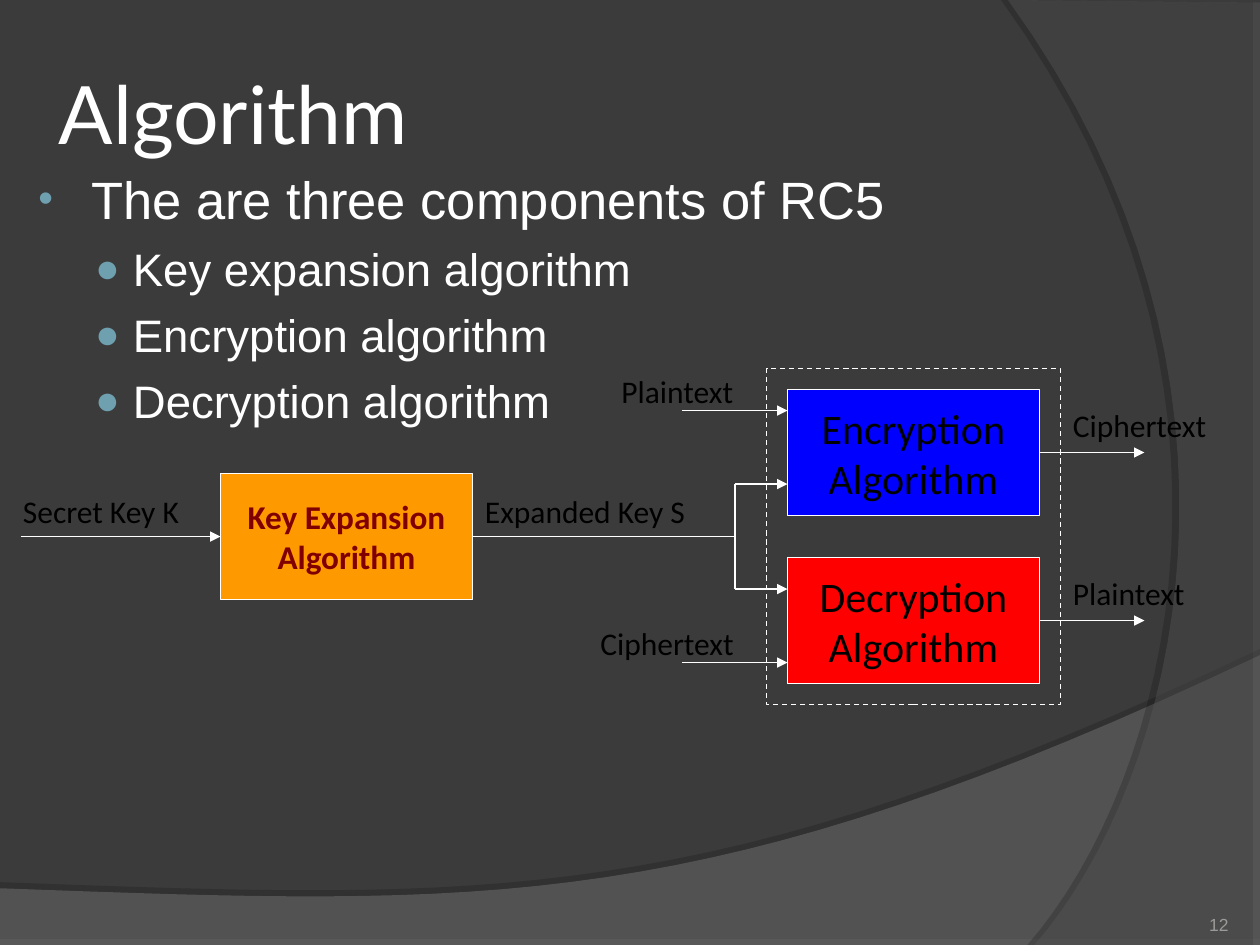
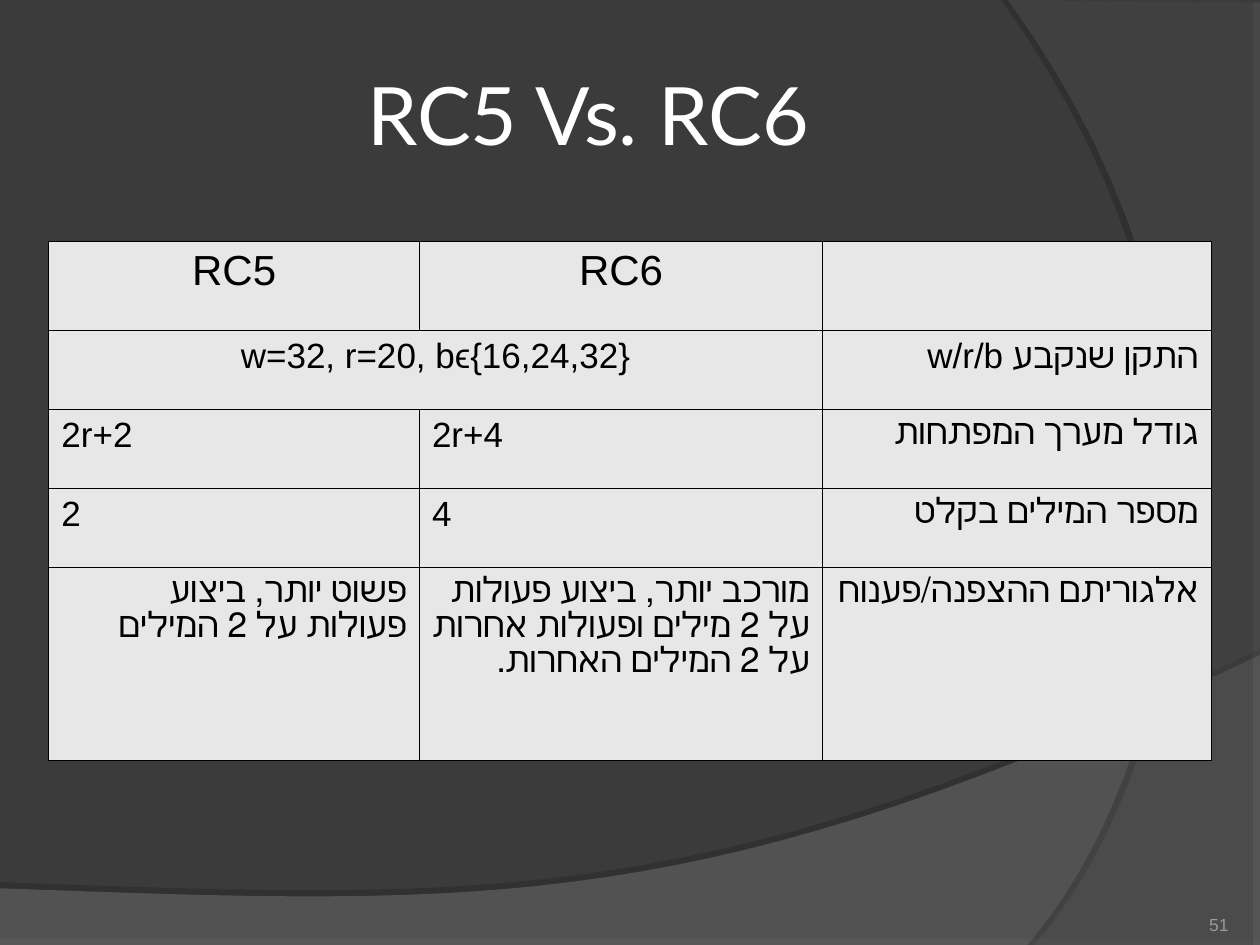
import dataclasses
import pptx
import pptx.dml.color
import pptx.enum.dml
import pptx.enum.shapes
import pptx.enum.text
import pptx.oxml.ns
import pptx.util
from lxml import etree

qn = pptx.oxml.ns.qn
ALIGN = pptx.enum.text.PP_ALIGN
ANCHOR = pptx.enum.text.MSO_ANCHOR
SHAPE = pptx.enum.shapes.MSO_SHAPE
CELL = pptx.util.Inches(1) // 12


@dataclasses.dataclass(frozen=True)
class Theme:
    back: str = "3B3B3B"
    wave: str = "7C7C7C"
    arc: str = "595959"
    light: str = "FFFFFF"
    dark: str = "000000"
    bullet: str = "6EA0B0"
    muted: str = "9B9A98"
    key: str = "FF9900"
    key_text: str = "800000"
    encrypt: str = "0000FF"
    decrypt: str = "FF0000"
    cell: str = "E7E7E7"
    title_font: str = "Lato"
    body_font: str = "Arial"
    diagram_font: str = "Calibri"
    title: int = 46
    body: int = 30
    sub: int = 26
    box: int = 24
    key_size: int = 19
    label: int = 18
    head: int = 24
    row: int = 20
    number: int = 10
    line: float = 0.75
    border: float = 0.45


T = Theme()


@dataclasses.dataclass(frozen=True)
class Box:
    x: float
    y: float
    w: float
    h: float

    def sub(self, x, y, w, h):
        return Box(self.x + x, self.y + y, w, h)

    def point(self, x, y):
        return round((self.x + x) * CELL), round((self.y + y) * CELL)

    def place(self):
        return [round(v * CELL) for v in (self.x, self.y, self.w, self.h)]


SLIDE = Box(0, 0, 120, 90)


def rgb(color):
    return pptx.dml.color.RGBColor.from_string(color)


def add_xml(parent, tag, **attrs):
    return etree.SubElement(parent, qn(tag), {k: str(v) for k, v in attrs.items()})


def write(p, text, size, font=T.body_font, color=T.light, bold=False,
          align=ALIGN.LEFT, rtl=False):
    p.alignment = align
    if rtl:
        p._p.get_or_add_pPr().set("rtl", "1")
    r = p.add_run()
    r.text = text
    r.font.size = pptx.util.Pt(size)
    r.font.name = font
    r.font.bold = bold
    r.font.color.rgb = rgb(color)


def frame(shape, anchor=ANCHOR.TOP, inset=(0.1, 0.05), wrap=True):
    tf = shape.text_frame
    tf.word_wrap = wrap
    tf.vertical_anchor = anchor
    tf.margin_left = tf.margin_right = pptx.util.Inches(inset[0])
    tf.margin_top = tf.margin_bottom = pptx.util.Inches(inset[1])
    return tf


def text_box(s, box, text, size, anchor=ANCHOR.TOP, inset=(0.1, 0.05), **fmt):
    tf = frame(s.shapes.add_textbox(*box.place()), anchor, inset)
    write(tf.paragraphs[0], text, size, **fmt)


def curve(a, b, c, d, steps=32):
    for i in range(1, steps + 1):
        t = i / steps
        u = 1 - t
        yield tuple(u**3 * e + 3 * u * u * t * f + 3 * u * t * t * g + t**3 * h
                    for e, f, g, h in zip(a, b, c, d))


def swoosh(s, corners, bend, color, alpha, shade, dist, angle):
    pts = [(round(x / 100 * SLIDE.w * CELL), round(y / 100 * SLIDE.h * CELL))
           for x, y in [*corners, *curve(corners[-1], *bend)]]
    fb = s.shapes.build_freeform(*pts[0], scale=1.0)
    fb.add_line_segments(pts[1:], close=True)
    sp = fb.convert_to_shape()
    sp.fill.solid()
    sp.fill.fore_color.rgb = rgb(color)
    sp.line.fill.background()
    sp.shadow.inherit = False
    spPr = sp.element.spPr
    add_xml(spPr.find(qn("a:solidFill"))[0], "a:alpha", val=alpha * 1000)
    shadow = add_xml(spPr.find(qn("a:effectLst")), "a:outerShdw", blurRad=0,
                     dist=pptx.util.Pt(dist), dir=angle * 60000, algn="ctr", rotWithShape=0)
    shadow_color = add_xml(shadow, "a:srgbClr", val=T.dark)
    add_xml(shadow_color, "a:alpha", val=shade * 1000)


def base_slide(prs, title, title_box, number, align=ALIGN.LEFT):
    s = prs.slides.add_slide(prs.slide_layouts[6])
    s.background.fill.solid()
    s.background.fill.fore_color.rgb = rgb(T.back)
    swoosh(s, [(0, 94), (0, 100), (100, 100), (100, 69.33)],
           [(55.9, 97.2), (39.1, 95.87), (0, 94)], T.wave, 45, 35, 3.5, 270)
    swoosh(s, [(100, 0.27), (100, 100), (82.1, 100)],
           [(93.5, 82.53), (101.8, 40), (80, 0)], T.arc, 40, 45, 4, 180)
    text_box(s, title_box, title, T.title, anchor=ANCHOR.MIDDLE, inset=(0.05, 0.05),
             font=T.title_font, align=align)
    text_box(s, SLIDE.sub(107, 84.25, 10, 4.8), number, T.number, anchor=ANCHOR.BOTTOM,
             inset=(0, 0), color=T.muted, align=ALIGN.RIGHT)
    return s


def bullet_list(s, box, items):
    styles = [(0.46, -0.42, "•", 80, T.body, 7.5), (0.79, -0.3, "●", 90, T.sub, 6.5)]
    tf = frame(s.shapes.add_textbox(*box.place()))
    for i, (level, text) in enumerate(items):
        left, hang, char, pct, size, before = styles[level]
        p = tf.paragraphs[0] if i == 0 else tf.add_paragraph()
        p.level = level
        p.space_before = pptx.util.Pt(before if i else 0)
        pPr = p._p.get_or_add_pPr()
        pPr.set("marL", str(pptx.util.Inches(left)))
        pPr.set("indent", str(pptx.util.Inches(hang)))
        add_xml(add_xml(pPr, "a:buClr"), "a:srgbClr", val=T.bullet)
        add_xml(pPr, "a:buSzPct", val=pct * 1000)
        add_xml(pPr, "a:buFont", typeface=T.body_font)
        add_xml(pPr, "a:buChar", char=char)
        write(p, text, size)


def rect(s, box, fill=None, lines=(), size=T.box, color=T.dark, bold=False):
    sp = s.shapes.add_shape(SHAPE.RECTANGLE, *box.place())
    sp.shadow.inherit = False
    sp.line.color.rgb = rgb(T.light)
    sp.line.width = pptx.util.Pt(T.line)
    if fill:
        sp.fill.solid()
        sp.fill.fore_color.rgb = rgb(fill)
    else:
        sp.fill.background()
        sp.line.dash_style = pptx.enum.dml.MSO_LINE.DASH
    tf = frame(sp, ANCHOR.MIDDLE, wrap=False)
    for i, line in enumerate(lines):
        p = tf.add_paragraph() if i else tf.paragraphs[0]
        write(p, line, size, font=T.diagram_font, color=color, bold=bold, align=ALIGN.CENTER)
    return sp


def connect(s, box, start, end, arrow=True):
    c = s.shapes.add_connector(pptx.enum.shapes.MSO_CONNECTOR.STRAIGHT,
                               *box.point(*start), *box.point(*end))
    c.line.color.rgb = rgb(T.light)
    c.line.width = pptx.util.Pt(T.line)
    spPr = c.element.spPr
    if arrow:
        add_xml(spPr.find(qn("a:ln")), "a:tailEnd", type="triangle")
    add_xml(spPr, "a:effectLst")
    return c


def cipher_diagram(s, box):
    key = rect(s, box.sub(19, 10, 24, 12), T.key, ["Key Expansion", "Algorithm"],
               T.key_size, T.key_text, True)
    dec = rect(s, box.sub(73, 18, 24, 12), T.decrypt, ["Decryption", "Algorithm"])
    enc = rect(s, box.sub(73, 2, 24, 12), T.encrypt, ["Encryption", "Algorithm"])
    rect(s, box.sub(71, 0, 28, 32))

    connect(s, box, (0, 16), (19, 16)).end_connect(key, 1)
    connect(s, box, (43, 16), (68, 16), arrow=False).begin_connect(key, 3)
    for row in (11, 21):
        connect(s, box, (68, 16), (68, row), arrow=False)
        connect(s, box, (68, row), (73, row))
    for row in (4, 28):
        connect(s, box, (63, row), (73, row))
    for cipher, row in ((enc, 8), (dec, 24)):
        connect(s, box, (97, row), (107, row)).begin_connect(cipher, 3)

    for text, x, y, w in [
        ("Plaintext", 56, -0.25, 16),
        ("Ciphertext", 54, 23.75, 19),
        ("Plaintext", 99, 19, 16),
        ("Ciphertext", 99, 3, 19),
        ("Expanded Key S", 43, 11.2, 28),
        ("Secret Key K", -1, 11.2, 21),
    ]:
        text_box(s, box.sub(x, y, w, 4.8), text, T.label, font=T.diagram_font, color=T.dark)


def style_cell(cell):
    cell.fill.solid()
    cell.fill.fore_color.rgb = rgb(T.cell)
    tcPr = cell._tc.get_or_add_tcPr()
    for i, side in enumerate(("a:lnL", "a:lnR", "a:lnT", "a:lnB")):
        ln = etree.Element(qn(side), {"w": str(pptx.util.Pt(T.border))})
        add_xml(add_xml(ln, "a:solidFill"), "a:srgbClr", val=T.dark)
        tcPr.insert(i, ln)


def comparison_table(s, box, rows, widths, heights):
    table = s.shapes.add_table(len(rows), len(widths), *box.place()).table
    table.first_row = table.horz_banding = False
    for column, w in zip(table.columns, widths):
        column.width = round(w * CELL)
    for row, h in zip(table.rows, heights):
        row.height = round(h * CELL)
    table.cell(1, 0).merge(table.cell(1, 1))
    for i, texts in enumerate(rows):
        for j, text in enumerate(texts):
            cell = table.cell(i, j)
            style_cell(cell)
            if not text:
                continue
            rtl = any("א" <= ch <= "ת" for ch in text)
            align = ALIGN.CENTER if i < 2 else ALIGN.LEFT
            write(cell.text_frame.paragraphs[0], text, T.row if i else T.head,
                  color=T.dark, align=ALIGN.RIGHT if rtl else align, rtl=rtl)


def algorithm_slide(prs):
    s = base_slide(prs, "Algorithm", SLIDE.sub(5, 0.7, 86, 20), "12")
    bullet_list(s, SLIDE.sub(2, 15.3, 86, 41.5), [
        (0, "The are three components of RC5"),
        (1, "Key expansion algorithm"),
        (1, "Encryption algorithm"),
        (1, "Decryption algorithm"),
    ])
    cipher_diagram(s, SLIDE.sub(2, 35.1, 107, 32))


def comparison_slide(prs):
    s = base_slide(prs, "RC5 Vs. RC6", SLIDE.sub(5, 3.5, 102, 14.5), "51", ALIGN.CENTER)
    comparison_table(s, SLIDE.sub(4.65, 23, 110.7, 49.4), [
        ("RC5", "RC6", ""),
        ("w=32, r=20, bϵ{16,24,32}", "", "התקן שנקבע w/r/b"),
        ("2r+2", "2r+4", "גודל מערך המפתחות"),
        ("2", "4", "מספר המילים בקלט"),
        ("פשוט יותר, ביצוע פעולות על 2 המילים",
         "מורכב יותר, ביצוע פעולות על 2 מילים ופעולות אחרות על 2 המילים האחרות.",
         "אלגוריתם ההצפנה/פענוח"),
    ], (35.3, 38.4, 37), (8.5, 7.53, 7.53, 7.53, 18.35))


def main():
    prs = pptx.Presentation()
    prs.slide_width, prs.slide_height = SLIDE.place()[2:]
    algorithm_slide(prs)
    comparison_slide(prs)
    prs.save("out.pptx")


if __name__ == "__main__":
    main()
